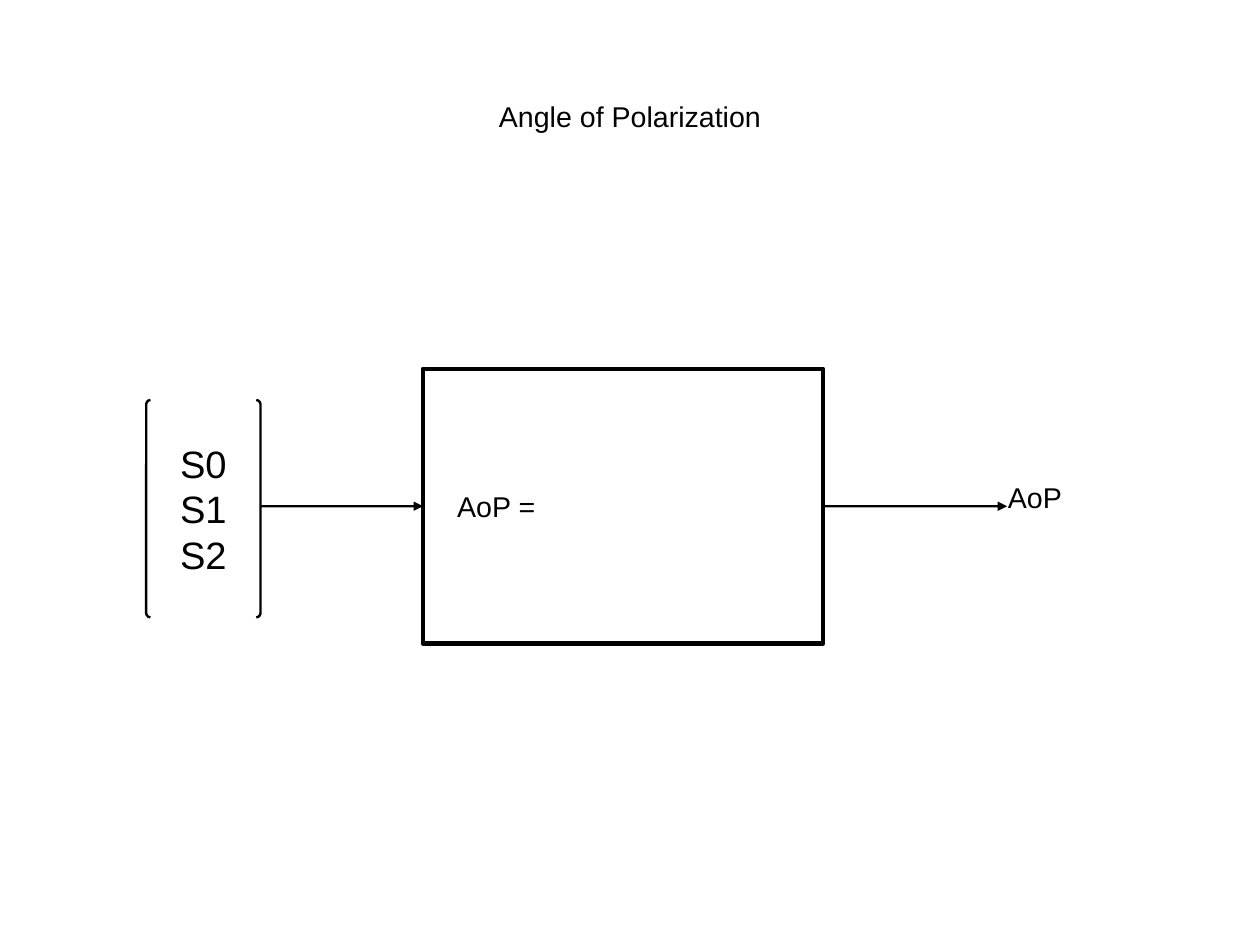
import pptx
import pptx.util
import pptx.dml.color
import pptx.enum.shapes
import pptx.enum.text
import pptx.oxml
import pptx.oxml.ns

Cm, Pt = pptx.util.Cm, pptx.util.Pt
SHAPE = pptx.enum.shapes.MSO_SHAPE
ALIGN = pptx.enum.text.PP_ALIGN
ANCHOR = pptx.enum.text.MSO_ANCHOR

TITLE = "Angle of Polarization"
STOKES = ["S0", "S1", "S2"]
FORMULA = "AoP ="
RESULT = "AoP"

THEME = {
    "font": "Arial",
    "ink": pptx.dml.color.RGBColor(0, 0, 0),
    "body": 18,
    "vector": 24,
    "thin": 1.5,
    "thick": 3,
}

# left, top, width, height in cm
TITLE_AREA = (1.4, 0.84, 25.2, 3.5)
VECTOR_AREA = (3.25, 8.89, 2.54, 4.83)
BLOCK_AREA = (9.4, 8.2, 8.89, 6.1)
RESULT_AREA = (22.15, 10.54, 2.1, 1.2)
OUTPUT_END = 22.38


def write(s, lines, size=THEME["body"], align=ALIGN.CENTER, anchor=ANCHOR.MIDDLE,
          insets=(0, 0, 0, 0), wrap=True):
    tf = s.text_frame
    tf.word_wrap = wrap
    tf.vertical_anchor = anchor
    tf.margin_left, tf.margin_top, tf.margin_right, tf.margin_bottom = map(Cm, insets)
    for i, line in enumerate(lines):
        p = tf.paragraphs[0] if i == 0 else tf.add_paragraph()
        p.alignment = align
        r = p.add_run()
        r.text = line
        r.font.name = THEME["font"]
        r.font.size = Pt(size)
        r.font.color.rgb = THEME["ink"]


def set_line(s, width):
    s.line.color.rgb = THEME["ink"]
    s.line.width = Pt(width)


def add_outline(slide, kind, area, width):
    s = slide.shapes.add_shape(kind, *map(Cm, area))
    s.shadow.inherit = False
    s.fill.background()
    set_line(s, width)
    return s


def add_text(slide, area, text, **fmt):
    write(slide.shapes.add_textbox(*map(Cm, area)), [text], **fmt)


def add_arrow(slide, x1, x2, y):
    s = slide.shapes.add_connector(
        pptx.enum.shapes.MSO_CONNECTOR.STRAIGHT, Cm(x1), Cm(y), Cm(x2), Cm(y))
    set_line(s, THEME["thin"])
    ns = pptx.oxml.ns.nsdecls("a")
    s.line._get_or_add_ln().append(pptx.oxml.parse_xml(f'<a:tailEnd {ns} type="triangle"/>'))
    s._element.spPr.append(pptx.oxml.parse_xml(f"<a:effectLst {ns}/>"))
    return s


def main():
    prs = pptx.Presentation()
    prs.slide_width, prs.slide_height = Cm(28), Cm(21)
    slide = prs.slides.add_slide(prs.slide_layouts[6])

    add_text(slide, TITLE_AREA, TITLE)

    vector = add_outline(slide, SHAPE.DOUBLE_BRACKET, VECTOR_AREA, THEME["thin"])
    vector.adjustments[0] = 0.037
    write(vector, STOKES, size=THEME["vector"], wrap=False)

    block = add_outline(slide, SHAPE.RECTANGLE, BLOCK_AREA, THEME["thick"])
    write(block, [FORMULA], align=ALIGN.LEFT, insets=(0.76, 0.18, 0.3, 0.18))

    left, top, width, height = BLOCK_AREA
    middle = top + height / 2
    vector_right = VECTOR_AREA[0] + VECTOR_AREA[2]
    add_arrow(slide, vector_right, left, middle).end_connect(block, 1)
    add_arrow(slide, left + width, OUTPUT_END, middle).begin_connect(block, 3)

    add_text(slide, RESULT_AREA, RESULT, align=ALIGN.LEFT, anchor=ANCHOR.TOP,
             insets=(0.25, 0.13, 0.25, 0.13), wrap=False)

    prs.save("out.pptx")


if __name__ == "__main__":
    main()
